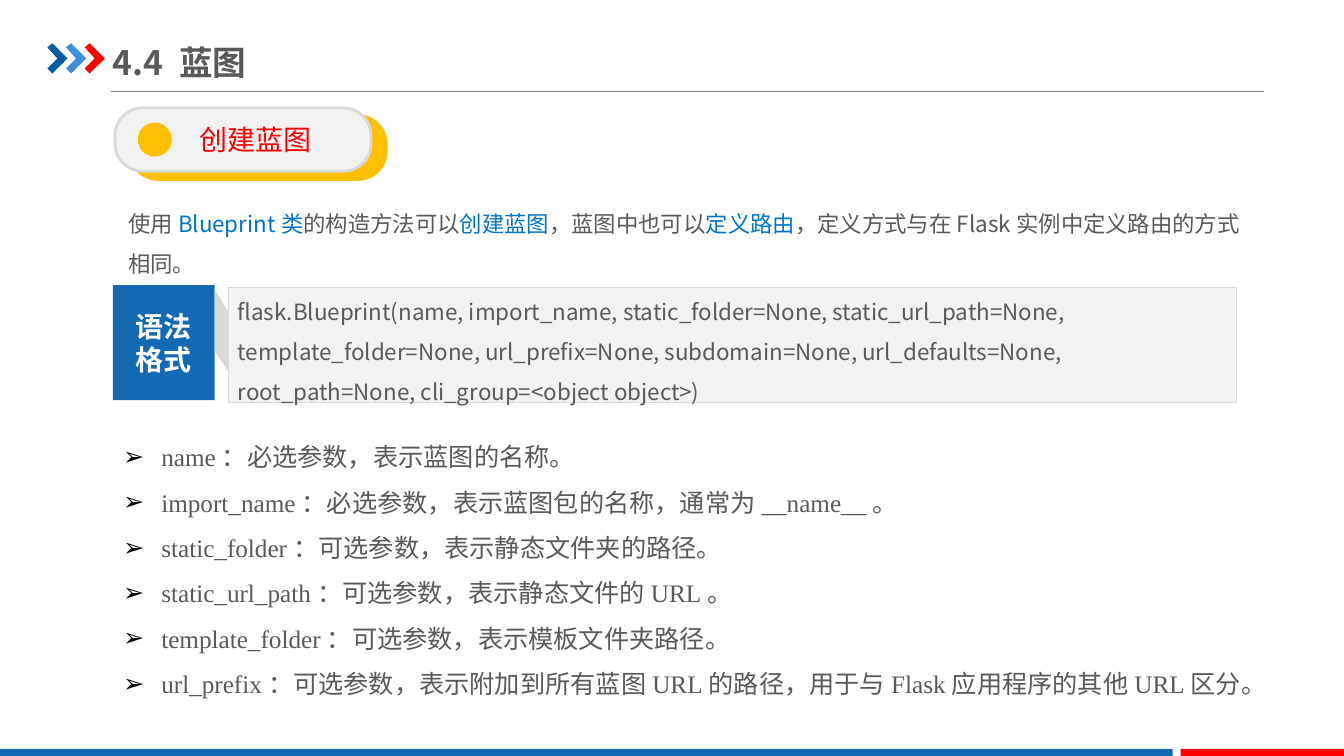
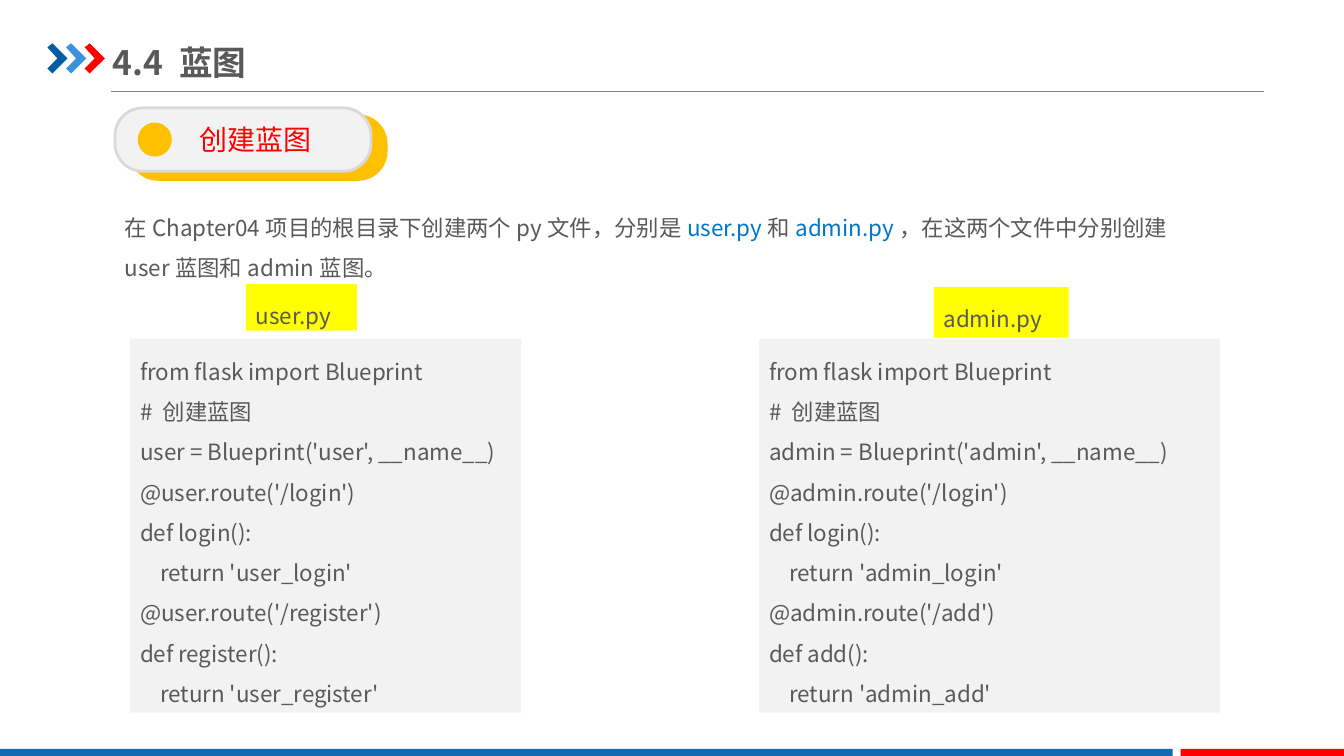
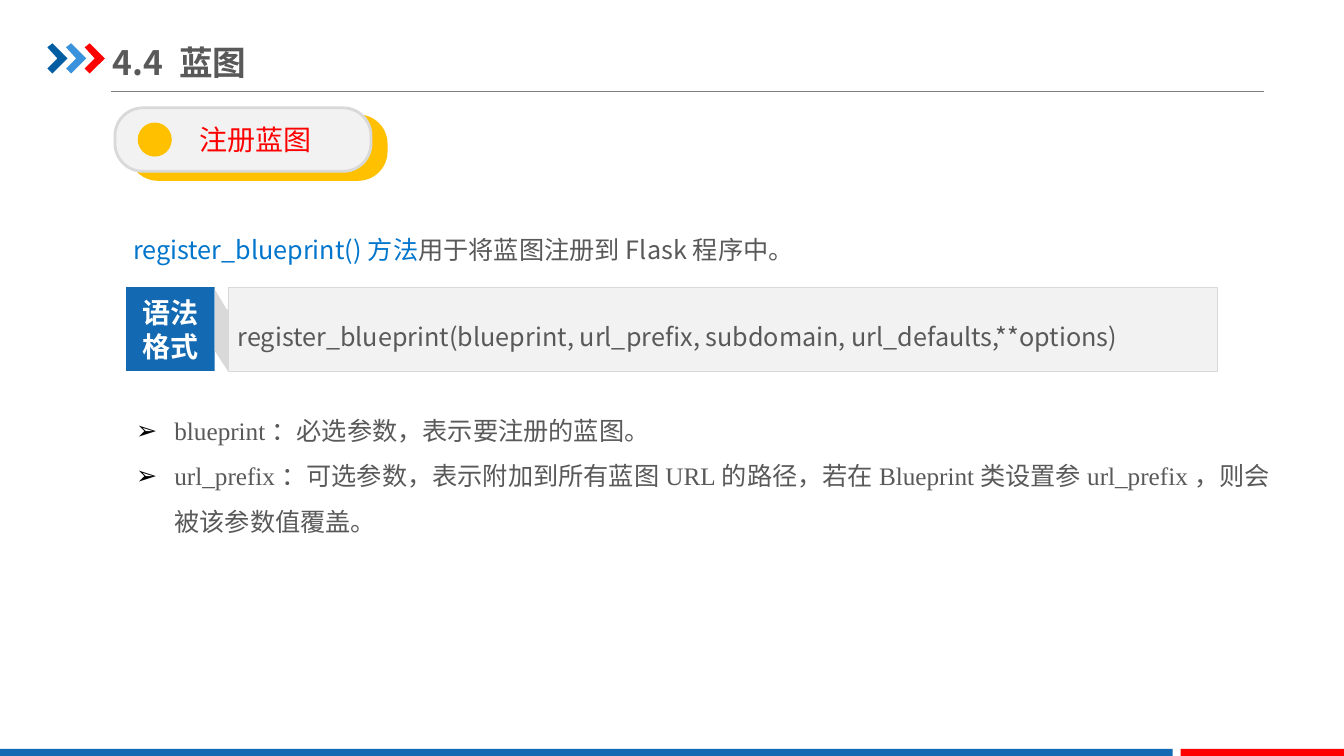
import pptx
import pptx.dml.color
import pptx.enum.shapes
import pptx.enum.text
import pptx.oxml.ns
import pptx.util
import lxml.etree

Inches = pptx.util.Inches
Shape = pptx.enum.shapes.MSO_SHAPE
Anchor = pptx.enum.text.MSO_ANCHOR
Align = pptx.enum.text.PP_ALIGN
qn = pptx.oxml.ns.qn


def color(value):
    return pptx.dml.color.RGBColor.from_string(value)


class Lesson:
    FONT = "Noto Sans CJK SC"
    LIST_FONT = "Times New Roman"
    TEXT = "595959"
    ACCENT = "0075CC"
    BLUE = "1369B2"
    RED = "FF0000"
    GOLD = "FFC000"
    PANEL = "F2F2F2"
    EDGE = "D9D9D9"
    RULE = "808080"
    YELLOW = "FFFF00"
    WHITE = "FFFFFF"

    def __init__(self):
        self.deck = pptx.Presentation()
        self.deck.slide_width = Inches(13.33)
        self.deck.slide_height = Inches(7.5)
        self.page = None

    def start(self, layout, title, topic):
        first = self.page is None
        self.page = self.deck.slides.add_slide(self.deck.slide_layouts[layout])
        if first:
            self.frame()
        box = self.place(self.page.shapes.title, 1.12, 0.34, 4.26, 0.55)
        box.text_frame.margin_left = box.text_frame.margin_right = 0
        self.label(box, [title], 24, bold=True, anchor=Anchor.MIDDLE)
        self.pill(topic)

    def frame(self):
        rule = self.page.shapes.add_connector(
            pptx.enum.shapes.MSO_CONNECTOR.STRAIGHT,
            Inches(1.1), Inches(0.91), Inches(12.54), Inches(0.91))
        rule.line.color.rgb = color(self.RULE)
        rule.line.width = pptx.util.Pt(0.75)
        lxml.etree.SubElement(rule.element.spPr, qn("a:effectLst"))
        parts = [rule]
        chevron = [(0, 0.04), (0.05, 0), (0.2, 0.15), (0.05, 0.3), (0, 0.25), (0.1, 0.15)]
        for index, fill in enumerate(["005DA2", "3992DB", self.RED]):
            left = 0.47 + 0.185 * index
            parts.append(self.outline([(left + x, 0.43 + y) for x, y in chevron], fill))
        parts.append(self.shape(Shape.RECTANGLE, 0, 7.43, 11.63, 0.07, self.BLUE))
        parts.append(self.shape(Shape.RECTANGLE, 11.71, 7.43, 1.62, 0.07, self.RED))
        for number, part in enumerate(parts, 100):
            part.element.xpath(".//p:cNvPr")[0].set("id", str(number))
            self.deck.slide_master.shapes.element.append(part.element)

    def place(self, box, left, top, width, height):
        box.left, box.top = Inches(left), Inches(top)
        box.width, box.height = Inches(width), Inches(height)
        return box

    def paint(self, shape, fill, edge=None, weight=0.25):
        shape.shadow.inherit = False
        shape.fill.solid()
        shape.fill.fore_color.rgb = color(fill)
        if edge:
            shape.line.color.rgb = color(edge)
            shape.line.width = pptx.util.Pt(weight)
        else:
            shape.line.fill.background()
        return shape

    def shape(self, kind, left, top, width, height, fill, edge=None, weight=0.25):
        shape = self.page.shapes.add_shape(
            kind, Inches(left), Inches(top), Inches(width), Inches(height))
        return self.paint(shape, fill, edge, weight)

    def outline(self, points, fill):
        corners = [(Inches(x), Inches(y)) for x, y in points]
        builder = self.page.shapes.build_freeform(*corners[0])
        builder.add_line_segments(corners[1:], close=True)
        return self.paint(builder.convert_to_shape(), fill)

    def style(self, span, size, fill, bold=False, font=FONT):
        span.font.size = pptx.util.Pt(size)
        span.font.bold = bold
        span.font.name = font
        span.font.color.rgb = color(fill)
        east = lxml.etree.SubElement(span._r.get_or_add_rPr(), qn("a:ea"))
        east.set("typeface", self.FONT)

    def label(self, box, lines, size, fill=TEXT, bold=False, font=FONT,
              align=Align.LEFT, anchor=Anchor.TOP, spacing=1.0):
        frame = box.text_frame
        frame.text = "\n".join(lines)
        frame.word_wrap = True
        frame.auto_size = pptx.enum.text.MSO_AUTO_SIZE.NONE
        frame.vertical_anchor = anchor
        for para in frame.paragraphs:
            para.alignment = align
            para.line_spacing = spacing
            para.space_before = pptx.util.Pt(0)
            for span in para.runs:
                self.style(span, size, fill, bold, font)
        return frame

    def pill(self, topic):
        for left, top, fill, edge in [(1.29, 1.15, self.GOLD, self.GOLD),
                                      (1.14, 1.07, self.PANEL, self.EDGE)]:
            box = self.shape(Shape.ROUNDED_RECTANGLE, left, top, 2.54, 0.63, fill, edge, 2)
            box.adjustments[0] = 0.44
        box.text_frame.margin_left = Inches(0.35)
        self.label(box, [topic], 20, self.RED, align=Align.CENTER, anchor=Anchor.MIDDLE)
        self.shape(Shape.OVAL, 1.38, 1.23, 0.31, 0.31, self.GOLD, self.GOLD, 2)

    def intro(self, left, top, width, height, marked, size=16, inset=(0.13, 0.07)):
        box = self.page.shapes.add_textbox(
            Inches(left), Inches(top), Inches(width), Inches(height))
        frame = box.text_frame
        frame.word_wrap = True
        frame.margin_left = frame.margin_right = Inches(inset[0])
        frame.margin_top = frame.margin_bottom = Inches(inset[1])
        para = frame.paragraphs[0]
        para.line_spacing = 1.5
        for index, text in enumerate(marked.split("|")):
            if text:
                span = para.add_run()
                span.text = text
                self.style(span, size, self.ACCENT if index % 2 else self.TEXT)

    def syntax(self, code, size, panel, badge):
        box = self.shape(Shape.RECTANGLE, *panel, self.PANEL, self.EDGE)
        self.label(box, [code], size, anchor=Anchor.MIDDLE, spacing=1.5)
        box = self.shape(Shape.RECTANGLE, *badge, self.BLUE)
        self.label(box, ["语法", "格式"], 20, self.WHITE, bold=True,
                   align=Align.CENTER, anchor=Anchor.MIDDLE)
        self.outline([(2.26, 3.07), (2.26, 3.68), (2.13, 3.48), (2.13, 2.87), (2.25, 3.07)],
                     self.EDGE)

    def parameters(self, left, top, height, items):
        box = self.place(self.page.placeholders[1], left, top, 11.5, height)
        frame = self.label(box, items, 18, font=self.LIST_FONT, spacing=1.5)
        for para in frame.paragraphs:
            para.level = 1
            props = para._p.get_or_add_pPr()
            props.set("marL", str(Inches(0.38)))
            props.set("indent", str(-Inches(0.38)))
            tint = lxml.etree.SubElement(props, qn("a:buClr"))
            lxml.etree.SubElement(tint, qn("a:srgbClr")).set("val", "000000")
            lxml.etree.SubElement(props, qn("a:buChar")).set("char", "➢")

    def listing(self, left, width, tab, name, action):
        lines = [
            "from flask import Blueprint",
            "# 创建蓝图",
            f"{name} = Blueprint('{name}', __name__)",
        ]
        returns = []
        for route in ["login", action]:
            lines += [f"@{name}.route('/{route}')", f"def {route}():",
                      f"return '{name}_{route}'"]
            returns.append(len(lines) - 1)
        box = self.shape(Shape.RECTANGLE, left, 3.36, width, 3.71, self.PANEL)
        frame = self.label(box, lines, 16, anchor=Anchor.MIDDLE, spacing=1.5)
        for index in returns:
            props = frame.paragraphs[index]._p.get_or_add_pPr()
            props.set("marL", str(Inches(0.2)))
        box = self.shape(Shape.RECTANGLE, *tab, self.YELLOW)
        self.label(box, [f"{name}.py"], 16, spacing=1.5)


def main():
    lesson = Lesson()
    title = "4.4 蓝图"

    lesson.start(1, title, "创建蓝图")
    lesson.intro(1.14, 1.88, 11.46, 0.94,
                 "使用|Blueprint类|的构造方法可以|创建蓝图|，蓝图中也可以|定义路由|"
                 "，定义方式与在Flask实例中定义路由的方式相同。")
    lesson.syntax("flask.Blueprint(name, import_name, static_folder=None, "
                  "static_url_path=None, template_folder=None, url_prefix=None, "
                  "subdomain=None, url_defaults=None, root_path=None, "
                  "cli_group=<object object>)",
                  16, (2.26, 2.85, 10, 1.14), (1.12, 2.83, 1.01, 1.14))
    lesson.parameters(1.12, 4.18, 2.77, [
        "name：必选参数，表示蓝图的名称。",
        "import_name：必选参数，表示蓝图包的名称，通常为__name__。",
        "static_folder：可选参数，表示静态文件夹的路径。",
        "static_url_path：可选参数，表示静态文件的URL。",
        "template_folder：可选参数，表示模板文件夹路径。",
        "url_prefix：可选参数，表示附加到所有蓝图URL的路径，用于与Flask应用程序的其他URL区分。",
    ])

    lesson.start(5, title, "创建蓝图")
    lesson.intro(1.14, 1.94, 10.96, 0.91,
                 "在Chapter04项目的根目录下创建两个py文件，分别是|user.py|和|admin.py|"
                 "，在这两个文件中分别创建user蓝图和admin蓝图。", inset=(0.1, 0.05))
    lesson.listing(1.29, 3.88, (2.44, 2.82, 1.1, 0.46), "user", "register")
    lesson.listing(7.53, 4.57, (9.26, 2.85, 1.34, 0.5), "admin", "add")

    lesson.start(1, title, "注册蓝图")
    lesson.intro(1.19, 2.1, 11.46, 0.54,
                 "|register_blueprint()方法|用于将蓝图注册到Flask程序中。", 18)
    lesson.syntax("register_blueprint(blueprint, url_prefix, subdomain, url_defaults,**options)",
                  18, (2.26, 2.85, 9.81, 0.83), (1.25, 2.85, 0.88, 0.83))
    lesson.parameters(1.25, 3.92, 1.41, [
        "blueprint：必选参数，表示要注册的蓝图。",
        "url_prefix：可选参数，表示附加到所有蓝图URL的路径，"
        "若在Blueprint类设置参url_prefix，则会被该参数值覆盖。",
    ])

    lesson.deck.save("out.pptx")


if __name__ == "__main__":
    main()
